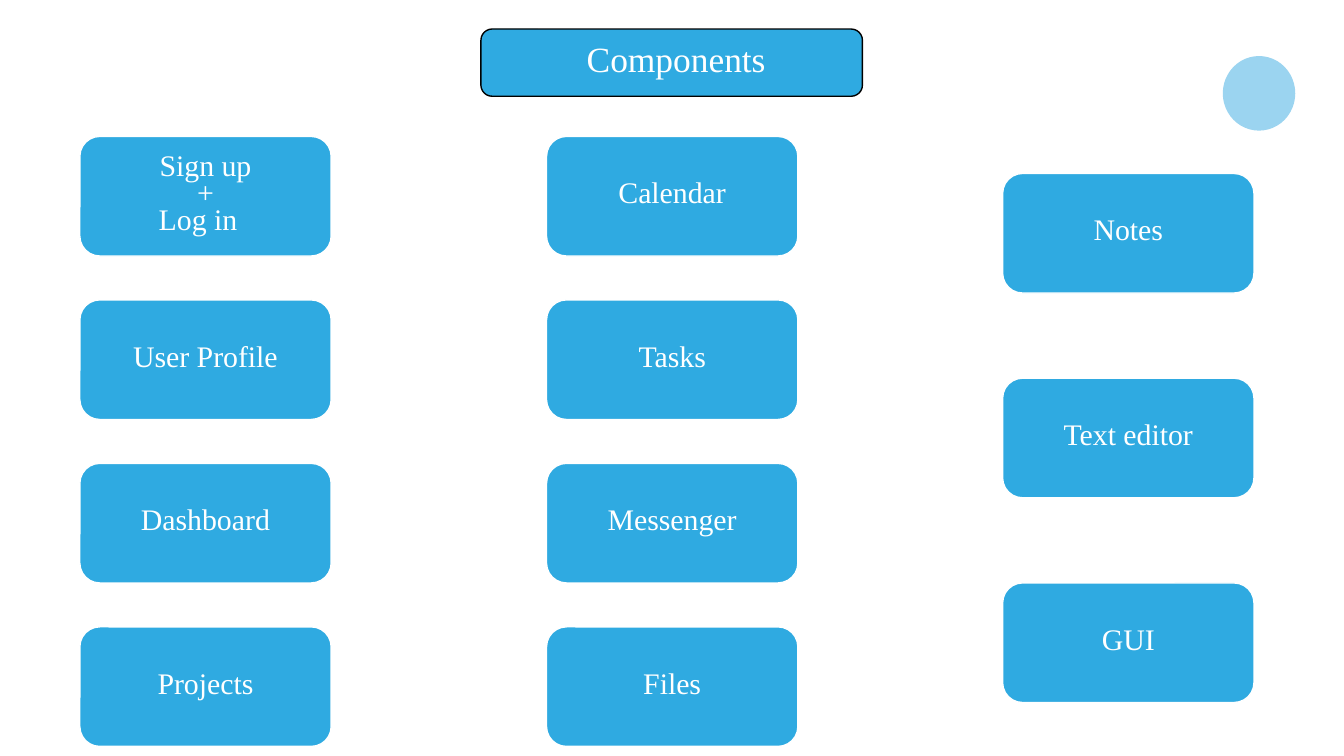
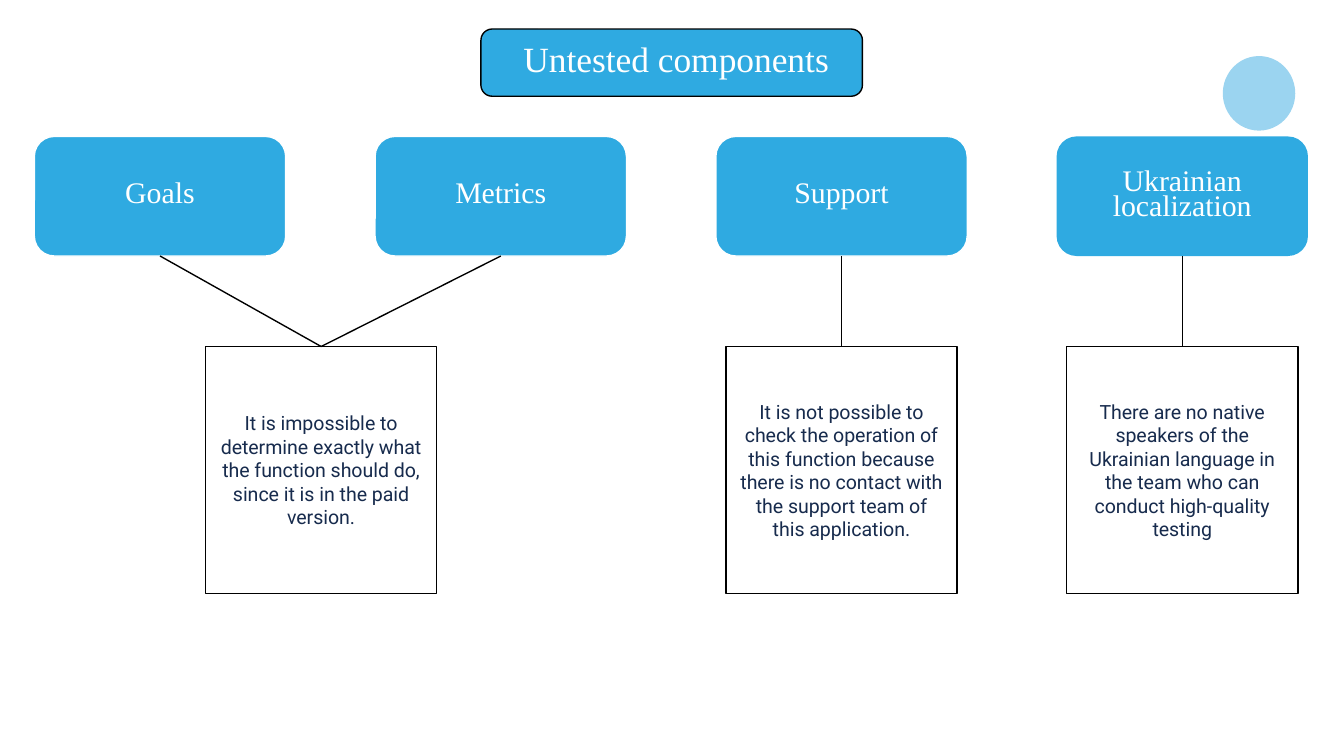
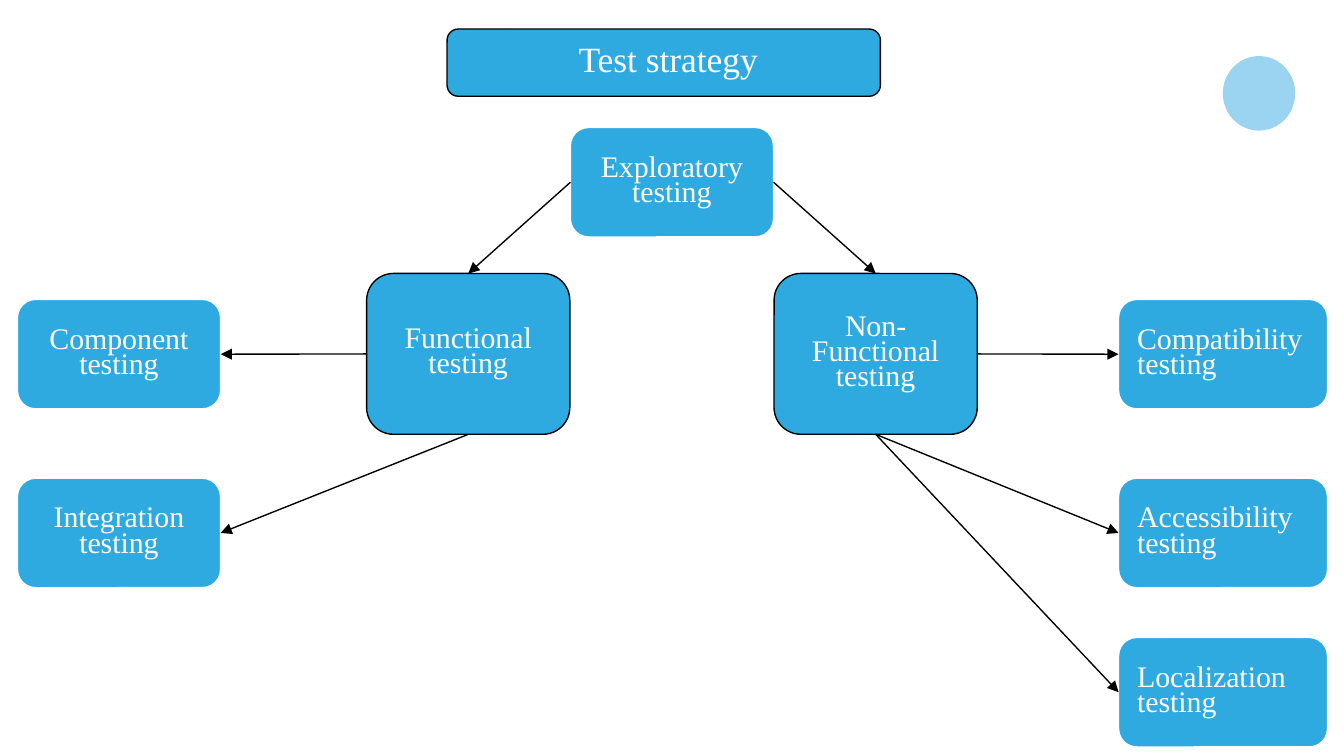
from dataclasses import dataclass

from lxml import etree
from pptx import Presentation
from pptx.dml.color import RGBColor
from pptx.enum.shapes import MSO_CONNECTOR, MSO_SHAPE
from pptx.enum.text import MSO_ANCHOR, PP_ALIGN
from pptx.oxml.ns import qn
from pptx.util import Cm, Pt

ROUND = MSO_SHAPE.ROUNDED_RECTANGLE
BAND = MSO_SHAPE.FLOWCHART_ALTERNATE_PROCESS
RECT = MSO_SHAPE.RECTANGLE
OVAL = MSO_SHAPE.OVAL
STRAIGHT = MSO_CONNECTOR.STRAIGHT
LEFT, CENTER = PP_ALIGN.LEFT, PP_ALIGN.CENTER
MIDDLE, BOTTOM = MSO_ANCHOR.MIDDLE, MSO_ANCHOR.BOTTOM
# Connection sites shared by rectangles and rounded rectangles
TOP_END, LEFT_END, LOW_END, RIGHT_END = range(4)


@dataclass(frozen=True)
class Theme:
    blue: str = "2FAAE1"
    pale: str = "9BD4F0"
    white: str = "FFFFFF"
    black: str = "000000"
    navy: str = "172B4D"
    serif: str = "Times New Roman"
    sans: str = "Roboto"
    title: float = 19
    card: float = 16
    note: float = 10.5
    rule: float = 0.75
    inset: float = 0.25
    tight: float = 0.7


T = Theme()


def rgb(code):
    return RGBColor.from_string(code)


def write(shape, text, *, size=T.card, font=T.serif, color=T.white,
          align=CENTER, anchor=MIDDLE, spacing=None, before=0, left=T.inset):
    """Fill a shape with text, one paragraph for each line."""
    frame = shape.text_frame
    frame.word_wrap = True
    frame.vertical_anchor = anchor
    frame.margin_left = Cm(left)
    frame.margin_right = frame.margin_top = frame.margin_bottom = Cm(T.inset)
    for i, line in enumerate(text.split("\n")):
        para = frame.add_paragraph() if i else frame.paragraphs[0]
        para.alignment = align
        if spacing:
            para.line_spacing = spacing
        if i:
            para.space_before = Pt(before)
        run = para.add_run()
        run.text = line
        run.font.size = Pt(size)
        run.font.name = font
        run.font.color.rgb = rgb(color)


def block(slide, kind, box, fill=T.blue, line=T.white):
    shape = slide.shapes.add_shape(kind, *map(Cm, box))
    shape.shadow.inherit = False
    shape.fill.solid()
    shape.fill.fore_color.rgb = rgb(fill)
    if line:
        shape.line.color.rgb = rgb(line)
        shape.line.width = Pt(T.rule)
    else:
        shape.line.fill.background()
    return shape


def card(slide, text, box, line=T.white, align=CENTER):
    shape = block(slide, ROUND, box, line=line)
    write(shape, text, align=align, spacing=T.tight, before=0.9)
    return shape


def note(slide, text, box):
    shape = block(slide, RECT, box, T.white, T.black)
    write(shape, text, size=T.note, font=T.sans, color=T.navy)
    return shape


def link(slide, start, out, end, into, arrow=False):
    """Join site `out` of one shape to site `into` of another."""
    line = slide.shapes.add_connector(STRAIGHT, 0, 0, 0, 0)
    line.begin_connect(start, out)
    line.end_connect(end, into)
    line.line.color.rgb = rgb(T.black)
    line.line.width = Pt(T.rule)
    if arrow:
        tail = etree.SubElement(line.line._get_or_add_ln(), qn("a:tailEnd"))
        tail.set("type", "triangle")
    etree.SubElement(line._element.spPr, qn("a:effectLst"))


def stack(slide, names, box, step, **look):
    """Set cards under each other, the first one in the given box."""
    left, top, wide, high = box
    return [card(slide, name, (left, top + i * step, wide, high), **look)
            for i, name in enumerate(names)]


def start(deck, title, left=9.09, wide=7.21):
    """Add a slide with its title band and corner emblem."""
    slide = deck.slides.add_slide(deck.slide_layouts[6])
    block(slide, OVAL, (23.11, 1.06, 1.37, 1.41), T.pale, None)
    band = block(slide, BAND, (left, 0.55, wide, 1.27), line=T.black)
    write(band, title, size=T.title, anchor=BOTTOM, left=T.inset + 0.17)
    return slide


def parts(deck):
    slide = start(deck, "Components")
    wide, high = 4.75, 2.26
    first = stack(slide, ["Sign up\n+\nLog in", "User Profile", "Dashboard",
                          "Projects"], (1.51, 2.58, wide, high), 3.09)
    stack(slide, ["Calendar", "Tasks", "Messenger", "Files"],
          (10.33, 2.58, wide, high), 3.09)
    stack(slide, ["Notes", "Text editor", "GUI"],
          (18.95, 3.28, wide, high), 3.87)
    last = first[0].text_frame.paragraphs[-1]
    last.alignment = LEFT
    last._p.get_or_add_pPr().set("marL", str(Cm(1.13)))


def gaps(deck):
    slide = start(deck, "Untested components")
    left, step, wide = 0.65, 6.44, 4.75
    names = ["Goals", "Metrics", "Support", "Ukrainian localization"]
    cards = [card(slide, name, (left + i * step, 2.58, wide, 2.26),
                  line=None if name == names[-1] else T.white)
             for i, name in enumerate(names)]

    mids = [left + i * step + wide / 2 for i in range(len(names))]
    reasons = [
        (6.07, (0, 1), "It is impossible to determine exactly what the "
         "function should do, since it is in the paid version."),
        (mids[2], (2,), "It is not possible to check the operation of this "
         "function because there is no contact with the support team of "
         "this application."),
        (mids[3], (3,), "There are no native speakers of the Ukrainian "
         "language in the team who can conduct high-quality testing"),
    ]
    span = 4.37
    for mid, owners, text in reasons:
        why = note(slide, text, (mid - span / 2, 6.55, span, 4.67))
        for owner in owners:
            link(slide, cards[owner], LOW_END, why, TOP_END)


def plan(deck):
    slide = start(deck, "Test strategy", 8.45, 8.19)
    wide, high, top, step = 3.84, 2.07, 5.66, 3.38
    root = card(slide, "Exploratory testing", (10.78, 2.41, wide, high))
    work, other = [
        card(slide, name, (left, 5.17, wide, 3.04), line=T.black)
        for name, left in (("Functional testing", 6.93),
                           ("Non- Functional testing", 14.63))]
    west = stack(slide, ["Component testing", "Integration testing"],
                 (0.33, top, wide, high), step)
    east = stack(slide, ["Compatibility testing", "Accessibility testing"],
                 (21.14, top, 3.95, high), step, align=LEFT)
    east.append(card(slide, "Localization testing",
                     (21.14, 12.05, 3.95, high), align=LEFT))

    for hub, leaves, side, back in ((work, west, LEFT_END, RIGHT_END),
                                    (other, east, RIGHT_END, LEFT_END)):
        link(slide, root, side, hub, TOP_END, arrow=True)
        for i, leaf in enumerate(leaves):
            link(slide, hub, LOW_END if i else side, leaf, back, arrow=True)


def main():
    deck = Presentation()
    deck.slide_width, deck.slide_height = Cm(25.4), Cm(14.29)
    for build in (parts, gaps, plan):
        build(deck)
    deck.save("out.pptx")


if __name__ == "__main__":
    main()
